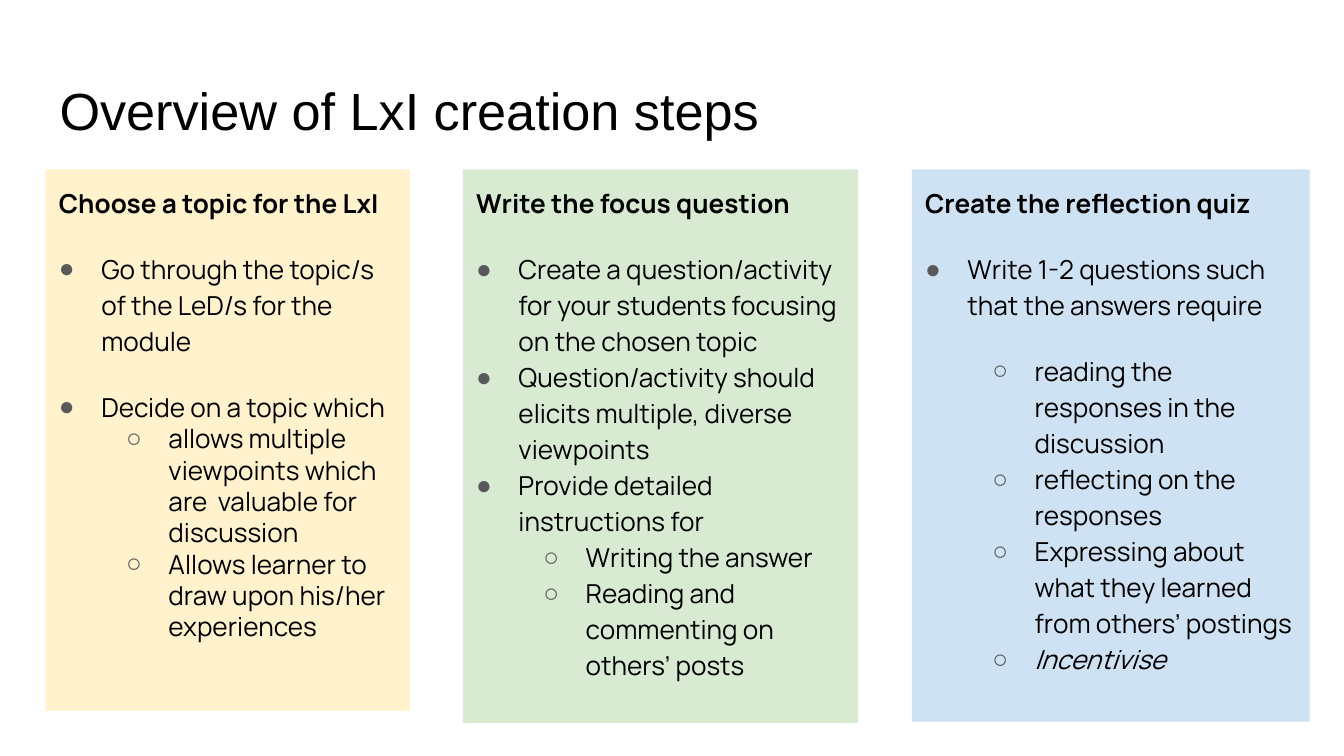
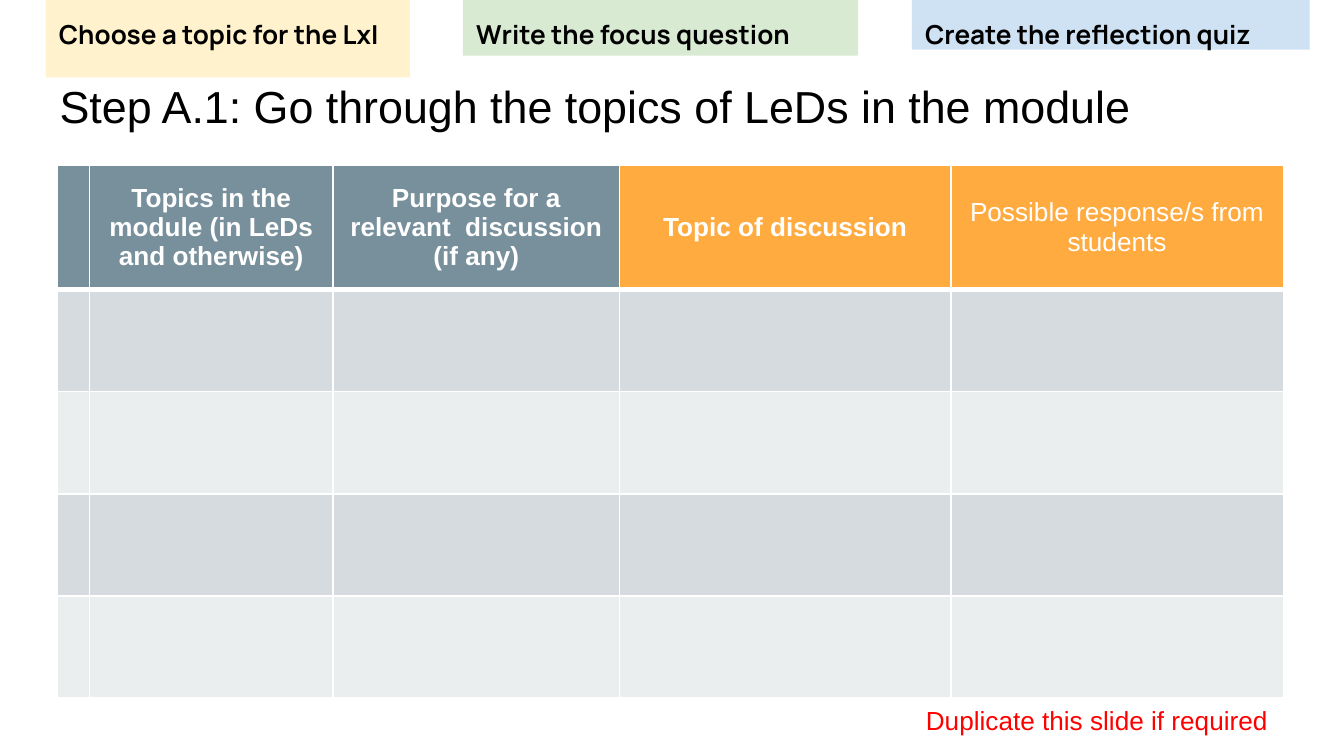
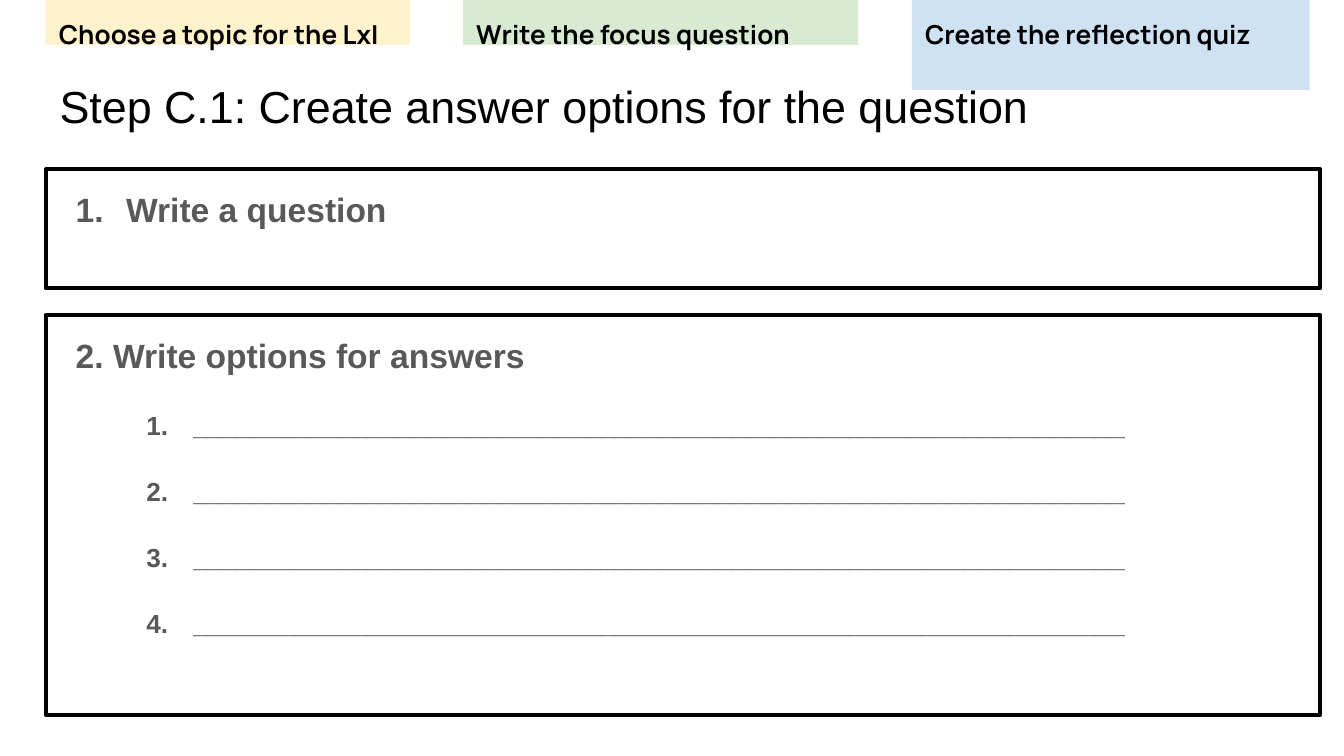
from lxml import etree
from pptx import Presentation
from pptx.dml.color import RGBColor
from pptx.enum.shapes import MSO_SHAPE
from pptx.enum.text import MSO_ANCHOR, PP_ALIGN
from pptx.oxml.ns import qn
from pptx.util import Pt

PX = 4572  # 200 px to the inch
RECT = MSO_SHAPE.RECTANGLE
TOP, MIDDLE = MSO_ANCHOR.TOP, MSO_ANCHOR.MIDDLE
LEFT, CENTER = PP_ALIGN.LEFT, PP_ALIGN.CENTER

BLACK = RGBColor(0x00, 0x00, 0x00)
WHITE = RGBColor(0xFF, 0xFF, 0xFF)
RED = RGBColor(0xFF, 0x00, 0x00)
GRAY = RGBColor(0x59, 0x59, 0x59)
CREAM = RGBColor(0xFF, 0xF2, 0xCC)
MINT = RGBColor(0xD9, 0xEA, 0xD3)
SKY = RGBColor(0xCF, 0xE2, 0xF3)
SLATE = RGBColor(0x78, 0x90, 0x9C)
ORANGE = RGBColor(0xFF, 0xAB, 0x40)
ROW_DARK = RGBColor(0xD5, 0xDB, 0xDE)
ROW_LIGHT = RGBColor(0xEB, 0xEE, 0xEF)

# Fonts: name, size, colour, bold, italic
TITLE_LARGE = ("Arial", 28, BLACK, False, False)
TITLE_SMALL = ("Arial", 24, BLACK, False, False)
STEP_HEAD = ("Manrope", 14, BLACK, True, False)
STEP_BODY = ("Manrope", 14, BLACK, False, False)
STEP_ITALIC = ("Manrope", 14, BLACK, False, True)
TABLE_HEAD = ("Arial", 14, WHITE, True, False)
TABLE_HEAD_PLAIN = ("Arial", 14, WHITE, False, False)
NOTE = ("Arial", 14, RED, False, False)
PROMPT = ("Arial", 18, GRAY, True, False)
OPTION = ("Arial", 14, GRAY, True, False)

# Paragraph formats
PLAIN = {}
CENTERED = {"alignment": CENTER}
LOOSE = {"line_spacing": 1.15}
SPACED = {**LOOSE, "space_before": Pt(16)}
STRIP = {**LOOSE, "space_after": Pt(16)}
SUB_TIGHT = {"level": 1}
SUB = {**LOOSE, "level": 1}
SUB_SPACED = {**SPACED, "level": 1}

# List formats: left edge, hanging indent, bullet ("1." numbers the list)
DOT = (63, -63, "●")
RING = (163, -63, "○")
NUMBER = (100, -75, "1.")
OPTION_NUMBER = (200, -70, "1.")
FLUSH = (25, 0, None)


def write(frame, paragraphs, inset_y=20, anchor=TOP):
    """Fill a text frame from (text, font, paragraph format, list format) rows."""
    frame.word_wrap = True
    frame.vertical_anchor = anchor
    frame.margin_left = frame.margin_right = 20 * PX
    frame.margin_top = frame.margin_bottom = inset_y * PX
    for i, (text, font, layout, listing) in enumerate(paragraphs):
        para = frame.add_paragraph() if i else frame.paragraphs[0]
        for key, value in {"alignment": LEFT, **layout}.items():
            setattr(para, key, value)
        run = para.add_run()
        run.text = text
        name, size, colour, bold, italic = font
        for key, value in {"name": name, "size": Pt(size), "bold": bold, "italic": italic}.items():
            setattr(run.font, key, value)
        run.font.color.rgb = colour
        if listing:
            left, hang, bullet = listing
            props = para._p.get_or_add_pPr()
            props.set("marL", str(left * PX))
            props.set("indent", str(hang * PX))
            if bullet:
                tint = etree.SubElement(props, qn("a:buClr"))
                etree.SubElement(tint, qn("a:srgbClr"), val=str(GRAY))
                etree.SubElement(props, qn("a:buFont"), typeface="Arial")
                if bullet == "1.":
                    etree.SubElement(props, qn("a:buAutoNum"), type="arabicPeriod")
                else:
                    etree.SubElement(props, qn("a:buChar"), char=bullet)


def add_box(slide, bounds, paragraphs, fill=None, line=None, inset_y=20):
    """Add a rectangle with text, filled or outlined on request."""
    box = slide.shapes.add_shape(RECT, *(n * PX for n in bounds))
    box.shadow.inherit = False
    if fill is None:
        box.fill.background()
    else:
        box.fill.solid()
        box.fill.fore_color.rgb = fill
    if line is None:
        box.line.fill.background()
    else:
        box.line.color.rgb = line
        box.line.width = Pt(2.25)
    write(box.text_frame, paragraphs, inset_y)


prs = Presentation()
prs.slide_width, prs.slide_height = 2000 * PX, 1125 * PX

# The three steps: heading, left, width, colour
STEPS = [
    ("Choose a topic for the LxI", 68, 542, CREAM),
    ("Write the focus question", 689, 588, MINT),
    ("Create the reflection quiz", 1357, 592, SKY),
]

# Titles and step strips; each slide sets its own strip heights
slides = []
for title, font, strip_heights in [
    ("Overview of LxI creation steps", TITLE_LARGE, ()),
    ("Step A.1: Go through the topics of LeDs in the module", TITLE_SMALL, (115, 83, 74)),
    ("Step C.1: Create answer options for the question", TITLE_SMALL, (67, 67, 134)),
]:
    slide = prs.slides.add_slide(prs.slide_layouts[6])
    heading = slide.shapes.add_textbox(69 * PX, 97 * PX, 1864 * PX, 126 * PX)
    write(heading.text_frame, [(title, font, PLAIN, None)])
    for (step, left, width, colour), height in zip(STEPS, strip_heights):
        add_box(slide, (left, 0, width, height), [(step, STEP_HEAD, STRIP, None)], colour)
    slides.append(slide)
overview, topics, answers = slides

# Overview: one panel per step
STEP_DETAILS = [
    (806, [
        ("Go through the topic/s of the LeD/s for the module", STEP_BODY, SPACED, DOT),
        ("Decide on a topic which", STEP_BODY, SPACED, DOT),
        ("allows multiple viewpoints which are  valuable for discussion",
         STEP_BODY, SUB_TIGHT, RING),
        ("Allows learner to draw upon his/her experiences", STEP_BODY, SUB_TIGHT, RING),
    ]),
    (824, [
        ("Create a question/activity for your students focusing on the chosen topic",
         STEP_BODY, SPACED, DOT),
        ("Question/activity should elicits multiple, diverse viewpoints", STEP_BODY, LOOSE, DOT),
        ("Provide detailed instructions for", STEP_BODY, LOOSE, DOT),
        ("Writing the answer", STEP_BODY, SUB, RING),
        ("Reading and commenting on others’ posts", STEP_BODY, SUB, RING),
    ]),
    (822, [
        ("Write 1-2 questions such that the answers require", STEP_BODY, SPACED, DOT),
        ("reading the responses in the discussion", STEP_BODY, SUB_SPACED, RING),
        ("reflecting on the responses", STEP_BODY, SUB, RING),
        ("Expressing about what they learned from others’ postings", STEP_BODY, SUB, RING),
        ("Incentivise", STEP_ITALIC, SUB, RING),
    ]),
]
for (step, left, width, colour), (height, details) in zip(STEPS, STEP_DETAILS):
    add_box(overview, (left, 252, width, height),
            [(step, STEP_HEAD, LOOSE, None), *details], colour)

# Topics: planning table with blank rows
COLUMNS = [
    ("", 47, SLATE, TABLE_HEAD),
    ("Topics in the module (in LeDs and otherwise)", 363, SLATE, TABLE_HEAD),
    ("Purpose for a relevant  discussion (if any)", 426, SLATE, TABLE_HEAD),
    ("Topic of discussion", 493, ORANGE, TABLE_HEAD),
    ("Possible response/s from students", 495, ORANGE, TABLE_HEAD_PLAIN),
]
ROW_HEIGHTS = [185, 152, 152, 152, 152]
table = topics.shapes.add_table(
    len(ROW_HEIGHTS), len(COLUMNS), 85 * PX, 246 * PX,
    sum(column[1] for column in COLUMNS) * PX, sum(ROW_HEIGHTS) * PX).table
for r, height in enumerate(ROW_HEIGHTS):
    table.rows[r].height = height * PX
    for c, (label, width, head_fill, font) in enumerate(COLUMNS):
        table.columns[c].width = width * PX
        cell = table.cell(r, c)
        if r == 0 and label:
            write(cell.text_frame, [(label, font, CENTERED, None)])
        cell.vertical_anchor = MIDDLE
        cell.margin_left = cell.margin_right = 20 * PX
        cell.margin_top = cell.margin_bottom = 10 * PX
        # White borders, thicker under the header
        for side in ("lnL", "lnR", "lnT", "lnB"):
            thick = (r, side) in ((0, "lnB"), (1, "lnT"))
            border = etree.SubElement(cell._tc.get_or_add_tcPr(), qn("a:" + side),
                                      w=str(Pt(3 if thick else 1)))
            paint = etree.SubElement(border, qn("a:solidFill"))
            etree.SubElement(paint, qn("a:srgbClr"), val=str(WHITE))
        cell.fill.solid()
        cell.fill.fore_color.rgb = head_fill if r == 0 else ROW_DARK if r % 2 else ROW_LIGHT

note = topics.shapes.add_textbox(1358 * PX, 1038 * PX, 550 * PX, 68 * PX)
write(note.text_frame, [("Duplicate this slide if required", NOTE, PLAIN, None)], 10)

# Answers: question box and options box
add_box(answers, (68, 252, 1897, 177), [("Write a question", PROMPT, LOOSE, NUMBER)], line=BLACK)
option_lines = [("_" * 64, OPTION, SUB_SPACED, OPTION_NUMBER)] * 4
add_box(answers, (68, 469, 1897, 595),
        [("2. Write options for answers", PROMPT, LOOSE, FLUSH), *option_lines], line=BLACK)

prs.save("out.pptx")
